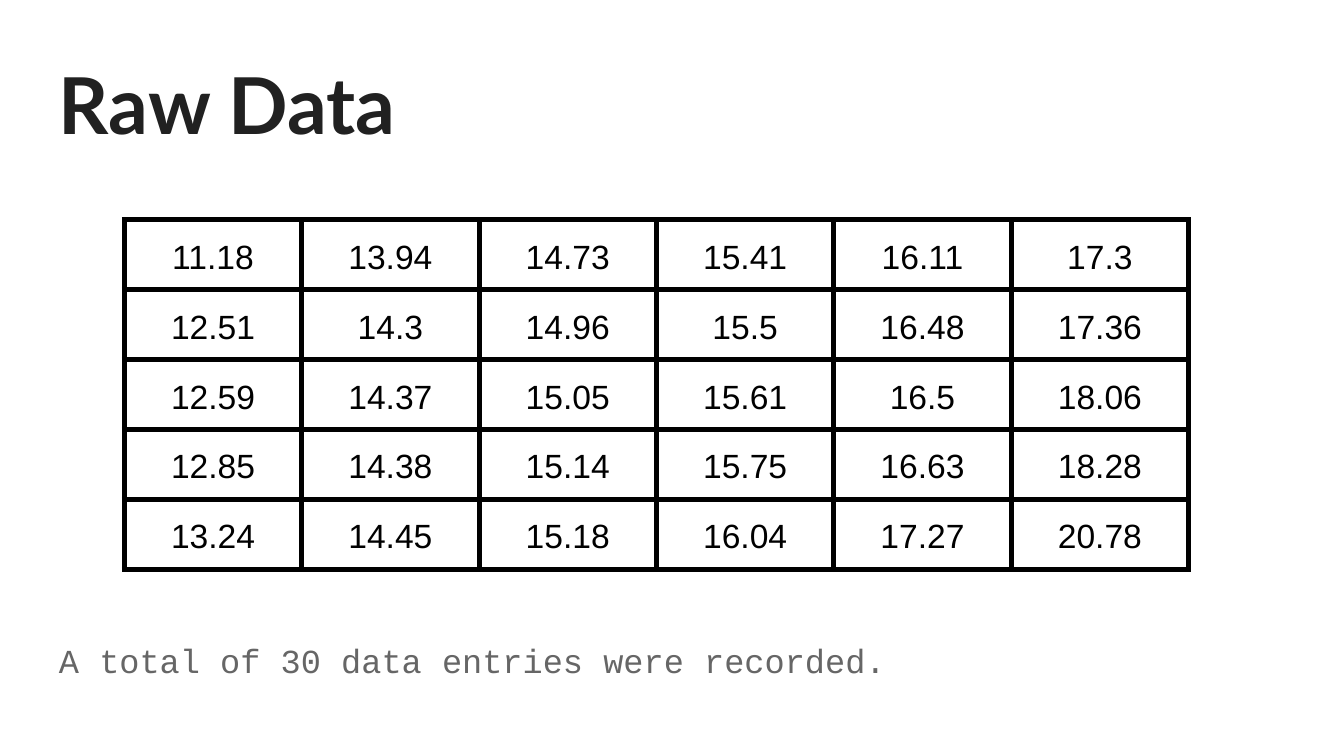
"""Build the Raw Data slide: a title, a table of 30 sorted readings and a caption."""
from lxml.etree import SubElement
from pptx import Presentation
from pptx.dml.color import RGBColor
from pptx.enum.text import MSO_ANCHOR, PP_ALIGN
from pptx.oxml.ns import qn
from pptx.util import Pt

PX = 4572
THEME = {
    "title": {"font": "Lato", "size": 42, "color": "212121", "bold": True},
    "cell": {"font": "Arial", "size": 18, "color": "000000", "bold": False},
    "caption": {"font": "Courier New", "size": 18, "color": "666666", "bold": False},
    "border": {"width": 3, "color": "000000"},
}
INSET, CELL_BOTTOM, COL_W, ROW_H = 20, 15, 264, 84
COLUMNS = [
    ["11.18", "12.51", "12.59", "12.85", "13.24"],
    ["13.94", "14.3", "14.37", "14.38", "14.45"],
    ["14.73", "14.96", "15.05", "15.14", "15.18"],
    ["15.41", "15.5", "15.61", "15.75", "16.04"],
    ["16.11", "16.48", "16.5", "16.63", "17.27"],
    ["17.3", "17.36", "18.06", "18.28", "20.78"],
]


def write(tf, text, style):
    p = tf.paragraphs[0]
    p.text = text
    font = p.runs[0].font
    font.name, font.size, font.bold = style["font"], Pt(style["size"]), style["bold"]
    font.color.rgb = RGBColor.from_string(style["color"])
    return p


def add_text(s, top, height, text, style):
    tf = s.shapes.add_textbox(68 * PX, top * PX, 1864 * PX, height * PX).text_frame
    tf.word_wrap = True
    tf.vertical_anchor = MSO_ANCHOR.TOP
    tf.margin_left = tf.margin_right = tf.margin_top = tf.margin_bottom = INSET * PX
    return write(tf, text, style)


prs = Presentation()
prs.slide_width, prs.slide_height = 2000 * PX, 1125 * PX
s = prs.slides.add_slide(prs.slide_layouts[6])

add_text(s, 64, 176, "Raw Data", THEME["title"])

n_rows, n_cols = len(COLUMNS[0]), len(COLUMNS)
table = s.shapes.add_table(
    n_rows, n_cols, 185 * PX, 327 * PX, n_cols * COL_W * PX, n_rows * ROW_H * PX
).table
table.first_row = table.horz_banding = False
for row in table.rows:
    row.height = ROW_H * PX
for c, values in enumerate(COLUMNS):
    table.columns[c].width = COL_W * PX
    for r, value in enumerate(values):
        cell = table.cell(r, c)
        cell.margin_left = cell.margin_right = cell.margin_top = INSET * PX
        cell.margin_bottom = CELL_BOTTOM * PX
        p = write(cell.text_frame, value, THEME["cell"])
        p.alignment, p.line_spacing = PP_ALIGN.CENTER, 1.15
        tcPr = cell._tc.get_or_add_tcPr()
        for side in ("a:lnL", "a:lnR", "a:lnT", "a:lnB"):
            ln = SubElement(tcPr, qn(side), w=str(Pt(THEME["border"]["width"])))
            fill = SubElement(ln, qn("a:solidFill"))
            SubElement(fill, qn("a:srgbClr"), val=THEME["border"]["color"])
        cell.fill.background()

p = add_text(s, 924, 156, "A total of 30 data entries were recorded.", THEME["caption"])
p.line_spacing, p.space_after = 1.15, Pt(16)

prs.save("out.pptx")
